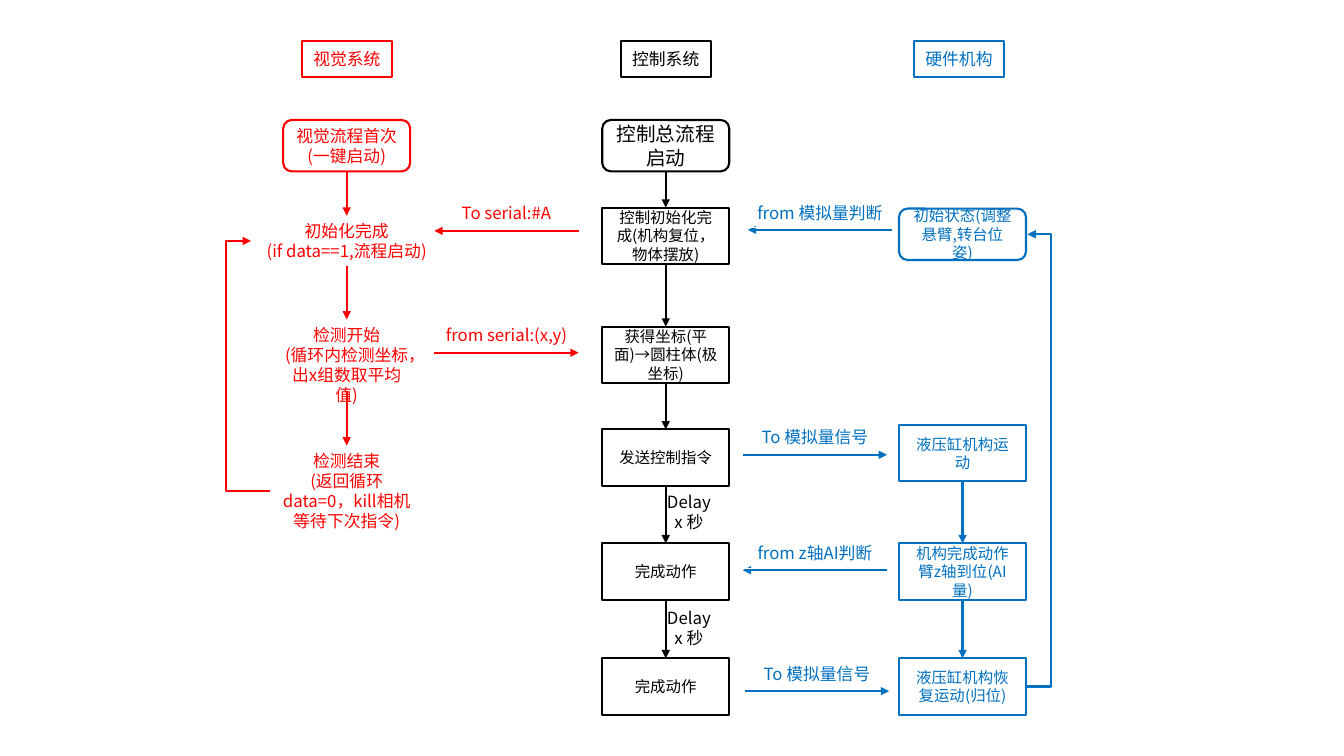
from lxml import etree
from pptx import Presentation
from pptx.dml.color import RGBColor
from pptx.enum.shapes import MSO_CONNECTOR, MSO_SHAPE
from pptx.enum.text import MSO_ANCHOR, MSO_AUTO_SIZE, PP_ALIGN
from pptx.oxml.ns import qn
from pptx.util import Pt

RED = RGBColor(0xFF, 0x00, 0x00)
BLACK = RGBColor(0x00, 0x00, 0x00)
BLUE = RGBColor(0x00, 0x70, 0xC0)
WHITE = RGBColor(0xFF, 0xFF, 0xFF)

RECTANGLE = MSO_SHAPE.RECTANGLE
ROUNDED = MSO_SHAPE.ROUNDED_RECTANGLE
STRAIGHT = MSO_CONNECTOR.STRAIGHT
ELBOW = MSO_CONNECTOR.ELBOW
CENTER = PP_ALIGN.CENTER
BOTTOM_SIDE, TOP_SIDE = 2, 0

FONT_NAME = "Noto Sans CJK SC"
BOX_FRAME = {"word_wrap": True, "vertical_anchor": MSO_ANCHOR.MIDDLE}
STEP_FRAME = {"word_wrap": True, "auto_size": MSO_AUTO_SIZE.NONE}
LABEL_FRAME = {"word_wrap": True, "auto_size": MSO_AUTO_SIZE.SHAPE_TO_FIT_TEXT}

BOX_WIDTH = 90.7
START_HEIGHT = 36.7
STEP_HEIGHT = 40.3
HEADER_WIDTH, HEADER_HEIGHT = 64.1, 25.2
START_TOP = 56.2
SIGNAL_LENGTH = 103
LABEL_WIDTH, LABEL_HEIGHT = 108, 21.8
COLUMN_TOP = 29.5


def set_values(target, values):
    for name, value in values.items():
        setattr(target, name, value)


def write_text(shape, text, size, color, frame_values):
    frame = shape.text_frame
    set_values(frame, frame_values)
    frame.text = text
    for paragraph in frame.paragraphs:
        paragraph.alignment = CENTER
        font = paragraph.runs[0].font
        set_values(font, {"name": FONT_NAME, "size": Pt(size)})
        font.color.rgb = color
        east_asian = etree.SubElement(paragraph.runs[0]._r.rPr, qn("a:ea"))
        east_asian.set("typeface", FONT_NAME)


def add_box(slide, left, top, width, height, text, size, color, kind=RECTANGLE):
    shape = slide.shapes.add_shape(kind, Pt(left), Pt(top), Pt(width), Pt(height))
    shape.shadow.inherit = False
    shape.fill.solid()
    shape.fill.fore_color.rgb = WHITE
    shape.line.color.rgb = color
    shape.line.width = Pt(1.5)
    write_text(shape, text, size, color, BOX_FRAME)
    return shape


def add_label(slide, left, top, width, height, text, color, frame_values=LABEL_FRAME):
    shape = slide.shapes.add_textbox(Pt(left), Pt(top), Pt(width), Pt(height))
    write_text(shape, text, 12, color, frame_values)
    return shape


def add_arrow(slide, begin, end, color, kind=STRAIGHT):
    points = [Pt(value) for value in (*begin, *end)]
    arrow = slide.shapes.add_connector(kind, *points)
    arrow.line.color.rgb = color
    arrow.line.width = Pt(1.5)
    line = arrow.line._get_or_add_ln()
    etree.SubElement(line, qn("a:tailEnd")).set("type", "triangle")
    etree.SubElement(arrow._element.spPr, qn("a:effectLst"))
    return arrow


def add_return_loop(slide, begin, end, turn, color):
    arrow = add_arrow(slide, begin, end, color, ELBOW)
    ratio = (turn - begin[0]) / (end[0] - begin[0])
    geometry = arrow._element.spPr.find(qn("a:prstGeom"))
    values = geometry.find(qn("a:avLst"))
    if values is None:
        values = etree.SubElement(geometry, qn("a:avLst"))
    guide = etree.SubElement(values, qn("a:gd"))
    guide.set("name", "adj1")
    guide.set("fmla", f"val {round(ratio * 100000)}")


def link_steps(slide, steps, color):
    for upper, lower in zip(steps, steps[1:]):
        arrow = add_arrow(slide, (0, 0), (0, 0), color)
        arrow.begin_connect(upper, BOTTOM_SIDE)
        arrow.end_connect(lower, TOP_SIDE)


def add_header(slide, left, top, text, color):
    add_box(slide, left, top, HEADER_WIDTH, HEADER_HEIGHT, text, 12, color)


def add_steps(slide, left, top, steps, color):
    return [
        add_box(slide, left, top + offset, BOX_WIDTH, STEP_HEIGHT, text, 11, color)
        for offset, text in steps
    ]


def add_vision_column(slide, left, top):
    add_header(slide, left + 13.5, top, "视觉系统", RED)
    steps = [add_box(slide, left, top + START_TOP, BOX_WIDTH, START_HEIGHT,
                     "视觉流程首次\n(一键启动)", 12, RED, ROUNDED)]
    center = left + BOX_WIDTH / 2
    for offset, width, height, text in (
        (124.6, 136.8, 36, "初始化完成\n(if data==1,流程启动)"),
        (198.7, 108, 51.1, "检测开始\n(循环内检测坐标，出x组数取平均值)"),
        (288.7, 108, 65.5, "检测结束\n(返回循环data=0，kill相机等待下次指令)"),
    ):
        steps.append(add_label(slide, center - width / 2, top + offset,
                               width, height, text, RED, STEP_FRAME))
    link_steps(slide, steps, RED)
    add_return_loop(slide, (left - 9.3, top + 321.1), (left - 23, top + 142.6),
                    left - 41, RED)


def add_control_column(slide, left, top):
    add_header(slide, left + 13.3, top, "控制系统", BLACK)
    start = add_box(slide, left, top + START_TOP, BOX_WIDTH, START_HEIGHT,
                    "控制总流程启动", 14, BLACK, ROUNDED)
    steps = add_steps(slide, left, top, (
        (118.8, "控制初始化完成(机构复位，物体摆放)"),
        (203.8, "获得坐标(平面)→圆柱体(极坐标)"),
        (277.2, "发送控制指令"),
        (358.6, "完成动作"),
        (440.7, "完成动作"),
    ), BLACK)
    link_steps(slide, [start, *steps], BLACK)
    for offset in (318.3, 401.1):
        add_label(slide, left + 37.8, top + offset, 48.2, 36, "Delay x 秒", BLACK)


def add_hardware_column(slide, left, top):
    add_header(slide, left + 10.8, top, "硬件机构", BLUE)
    add_box(slide, left, top + 119.5, BOX_WIDTH, START_HEIGHT,
            "初始状态(调整悬臂,转台位姿)", 11, BLUE, ROUNDED)
    steps = add_steps(slide, left, top, (
        (274.1, "液压缸机构运动"),
        (358.6, "机构完成动作\n臂z轴到位(AI量)"),
        (440.7, "液压缸机构恢复运动(归位)"),
    ), BLUE)
    link_steps(slide, steps, BLUE)
    right = left + BOX_WIDTH
    add_return_loop(slide, (right, top + 460.85), (right + 1, top + 137.85),
                    right + 18, BLUE)


def add_signal(slide, left, top, text, color, leftward, outlined=False):
    ends = [(left, top), (left + SIGNAL_LENGTH, top)]
    if leftward:
        ends.reverse()
    add_arrow(slide, *ends, color)
    label_left = left + (SIGNAL_LENGTH - LABEL_WIDTH) / 2
    label = add_label(slide, label_left, top - 23.3, LABEL_WIDTH, LABEL_HEIGHT, text, color)
    if outlined:
        label.line.color.rgb = WHITE
        label.line.width = Pt(0.75)


def build_flow_slide(presentation):
    slide = presentation.slides.add_slide(presentation.slide_layouts[6])
    add_control_column(slide, 430.2, COLUMN_TOP)
    add_vision_column(slide, 202.3, COLUMN_TOP)
    add_hardware_column(slide, 642.2, COLUMN_TOP)
    for signal in (
        (310.3, 164.9, "To serial:#A", RED, True),
        (310.3, 252, "from serial:(x,y)", RED, False),
        (534.2, 164.2, "from 模拟量判断", BLUE, True, True),
        (530.6, 324.9, "To 模拟量信号", BLUE, False),
        (530.6, 407.3, "from z轴AI判断", BLUE, True, True),
        (532.1, 493.7, "To 模拟量信号", BLUE, False),
    ):
        add_signal(slide, *signal)


def main():
    presentation = Presentation()
    set_values(presentation, {"slide_width": Pt(960), "slide_height": Pt(540)})
    build_flow_slide(presentation)
    presentation.save("out.pptx")


if __name__ == "__main__":
    main()
